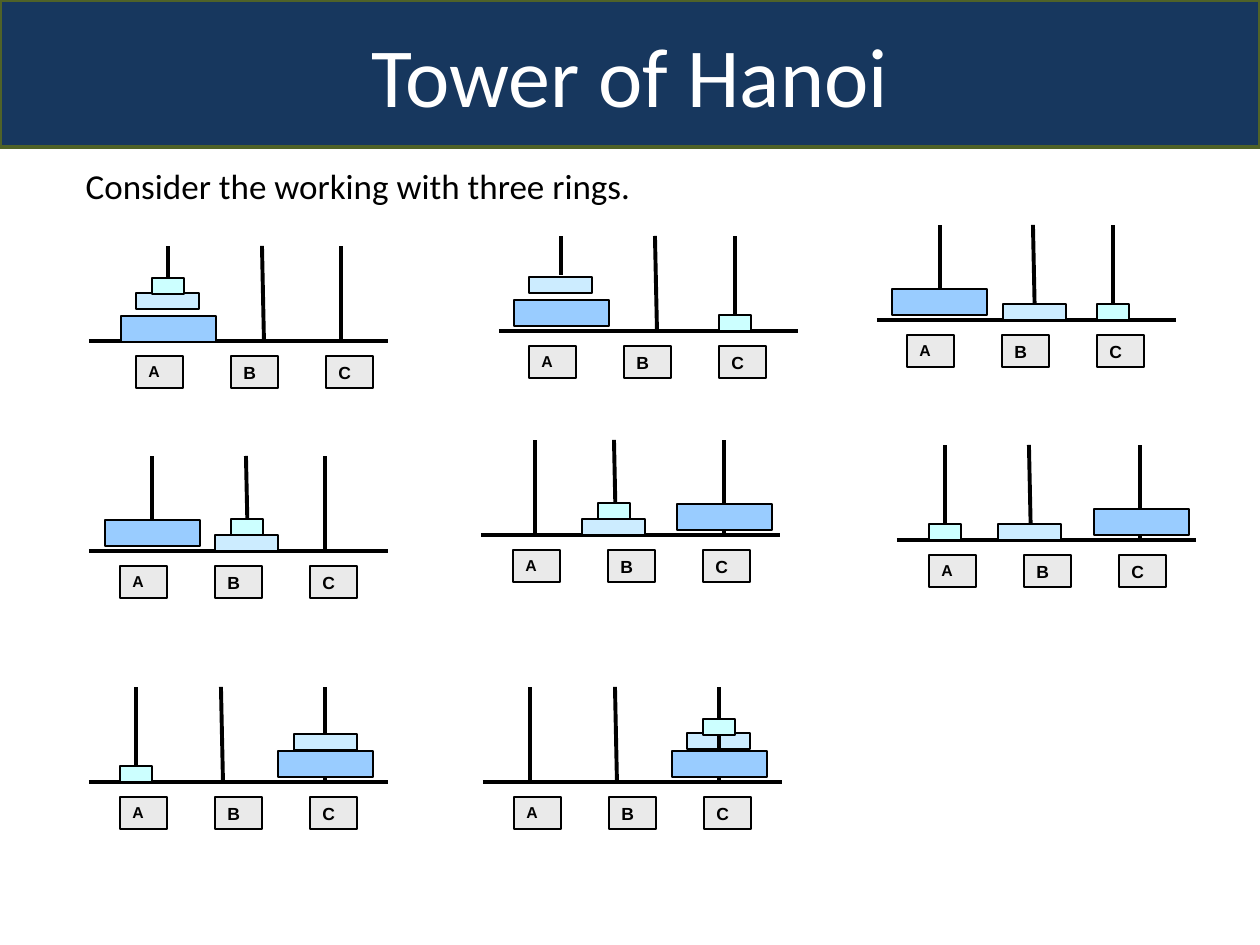
from pptx import Presentation
from pptx.dml.color import RGBColor
from pptx.enum.shapes import MSO_CONNECTOR, MSO_SHAPE
from pptx.enum.text import MSO_ANCHOR, MSO_AUTO_SIZE, PP_ALIGN
from pptx.oxml.ns import qn
from pptx.util import Pt
from lxml import etree

STRAIGHT = MSO_CONNECTOR.STRAIGHT
RECTANGLE = MSO_SHAPE.RECTANGLE
TOP, MIDDLE = MSO_ANCHOR.TOP, MSO_ANCHOR.MIDDLE
NO_AUTOFIT = MSO_AUTO_SIZE.NONE
LEFT, CENTER = PP_ALIGN.LEFT, PP_ALIGN.CENTER

EMU_PER_PX = 914400 // 126
SLIDE_SIZE = (1260, 945)

NAVY = RGBColor(0x17, 0x37, 0x5E)
OLIVE = RGBColor(0x4F, 0x62, 0x28)
WHITE = RGBColor(0xFF, 0xFF, 0xFF)
BLACK = RGBColor(0, 0, 0)
GREY = RGBColor(0xEA, 0xEA, 0xEA)
RING_COLORS = {
    "large": RGBColor(0x99, 0xCC, 0xFF),
    "medium": RGBColor(0xCC, 0xEC, 0xFF),
    "small": RGBColor(0xCC, 0xFF, 0xFF),
}
RING_SIZES = {"large": (95, 26), "medium": (63, 16), "small": (32, 16)}

TITLE = "Tower of Hanoi"
SENTENCE = "Consider the working with three rings."
LABELS = [("A", 9), ("B", 10), ("C", 10)]

# Offsets run right from "left" and up from "base"; each ring is (offset, top).
BOARDS = [
    dict(left=89, base=341, label=47, pegs=(79, 173, 252), peg_a_foot=56,
         rings=dict(large=(32, 25), medium=(47, 48), small=(63, 63))),
    dict(left=499, base=331, label=30, pegs=(62, 156, 236), peg_a_foot=56,
         rings=dict(large=(15, 31), medium=(30, 54), small=(220, 16))),
    dict(left=877, base=320, label=30, pegs=(63, 156, 236), peg_a_foot=31,
         rings=dict(large=(15, 31), medium=(126, 16), small=(220, 16))),
    dict(left=89, base=551, label=31, pegs=(63, 157, 236), peg_a_foot=31,
         rings=dict(large=(16, 31), medium=(126, 16), small=(142, 32))),
    dict(left=481, base=535, label=32, pegs=(54, 133, 243),
         rings=dict(large=(196, 31), medium=(101, 16), small=(117, 32))),
    dict(left=897, base=540, label=32, pegs=(48, 132, 243),
         rings=dict(large=(197, 31), medium=(101, 16), small=(32, 16))),
    dict(left=89, base=782, label=31, pegs=(47, 132, 236),
         rings=dict(large=(189, 31), medium=(205, 48), small=(31, 16))),
    dict(left=483, base=782, label=31, pegs=(47, 132, 236), behind_pegs=("medium",),
         rings=dict(large=(189, 31), medium=(204, 49), small=(220, 63))),
]
BASE_WIDTH, PEG_HEIGHT, PEG_B_LEAN = 299, 95, 2
LABEL_SIZE, LABEL_STEP, LABEL_DROP = (47, 32), 95, 15


def px(*lengths):
    return [round(length * EMU_PER_PX) for length in lengths]


def style_box(shape, fill, line, width):
    shape.fill.solid()
    shape.fill.fore_color.rgb = fill
    shape.line.color.rgb = line
    shape.line.width = Pt(width)


def write(shape, text, size, font, color, bold=False, align=LEFT, anchor=TOP):
    frame = shape.text_frame
    frame.word_wrap = True
    frame.auto_size = NO_AUTOFIT
    frame.vertical_anchor = anchor
    paragraph = frame.paragraphs[0]
    paragraph.alignment = align
    paragraph.space_before = Pt(0)
    run = paragraph.add_run()
    run.text = text
    run.font.size = Pt(size)
    run.font.name = font
    run.font.bold = bold
    run.font.color.rgb = color
    return paragraph


def place(shape, *box):
    shape.left, shape.top, shape.width, shape.height = px(*box)


def add_box(group, left, top, size, fill):
    box = group.shapes.add_shape(RECTANGLE, *px(left, top, *size))
    box.shadow.inherit = False
    style_box(box, fill, BLACK, 0.75)
    return box


def add_line(group, *ends):
    line = group.shapes.add_connector(STRAIGHT, *px(*ends))
    line.line.color.rgb = BLACK
    line.line.width = Pt(2.25)
    properties = line._element.find(qn("p:spPr"))
    etree.SubElement(properties, qn("a:effectLst"))


def add_ring(group, board, name):
    offset, top = board["rings"][name]
    add_box(group, board["left"] + offset, board["base"] - top,
            RING_SIZES[name], RING_COLORS[name])


def add_board(slide, board):
    group = slide.shapes.add_group_shape()
    left, base = board["left"], board["base"]
    behind = board.get("behind_pegs", ())
    for name in behind:
        add_ring(group, board, name)

    add_line(group, left, base, left + BASE_WIDTH, base)
    feet = (board.get("peg_a_foot", 0), 0, 0)
    leans = (0, PEG_B_LEAN, 0)
    for offset, foot, lean in zip(board["pegs"], feet, leans):
        peg = left + offset
        add_line(group, peg + lean, base - foot, peg, base - PEG_HEIGHT)

    for name in board["rings"]:
        if name not in behind:
            add_ring(group, board, name)

    for index, (letter, size) in enumerate(LABELS):
        label = add_box(group, left + board["label"] + index * LABEL_STEP,
                        base + LABEL_DROP, LABEL_SIZE, GREY)
        write(label, letter, size, "Arial", BLACK, bold=True)


def main():
    presentation = Presentation()
    presentation.slide_width, presentation.slide_height = px(*SLIDE_SIZE)
    slide = presentation.slides.add_slide(presentation.slide_layouts[1])

    title, body = slide.placeholders
    place(title, 0, 0, 1260, 147)
    style_box(title, NAVY, OLIVE, 2)
    write(title, TITLE, 48, "Calibri", WHITE, align=CENTER, anchor=MIDDLE)

    place(body, 73, 158, 1134, 84)
    paragraph = write(body, SENTENCE, 20, "Calibri", BLACK)
    properties = paragraph._p.get_or_add_pPr()
    properties.set("marL", "0")
    properties.set("indent", "0")
    etree.SubElement(properties, qn("a:buNone"))

    for board in BOARDS:
        add_board(slide, board)

    presentation.save("out.pptx")


if __name__ == "__main__":
    main()
